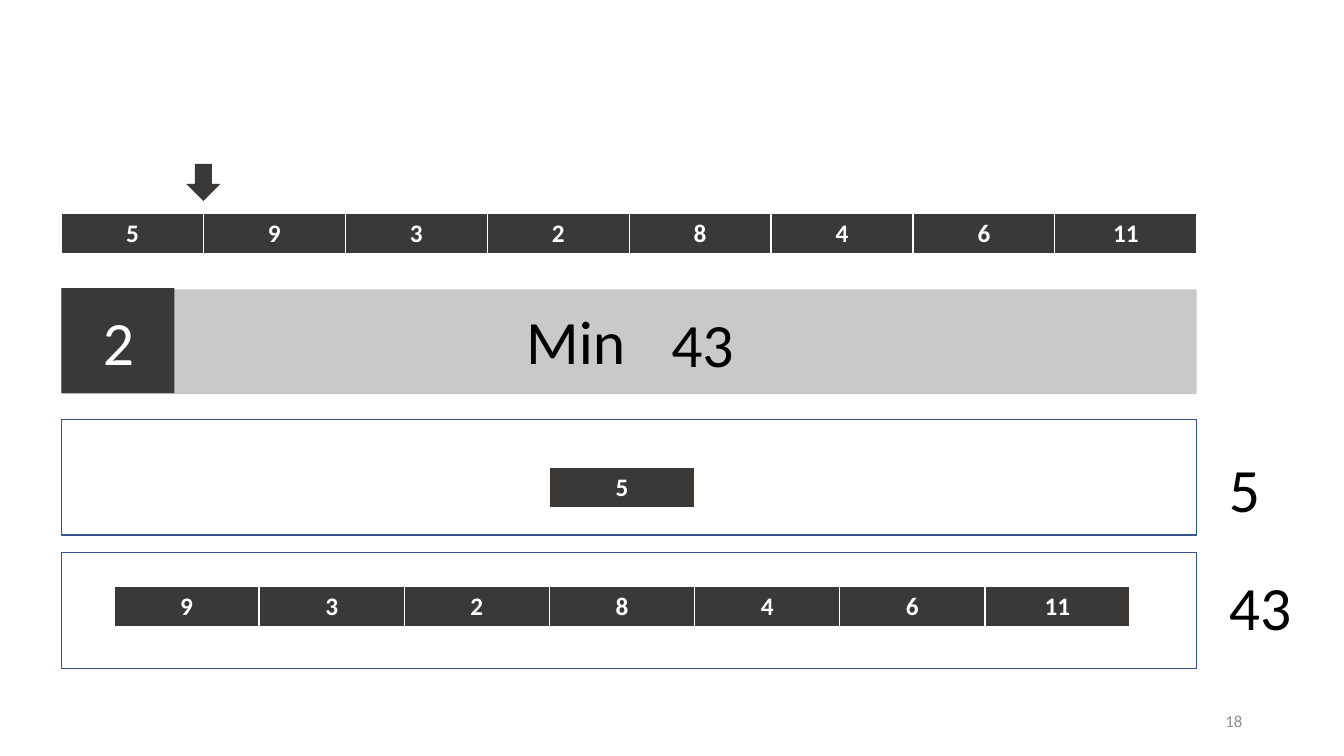
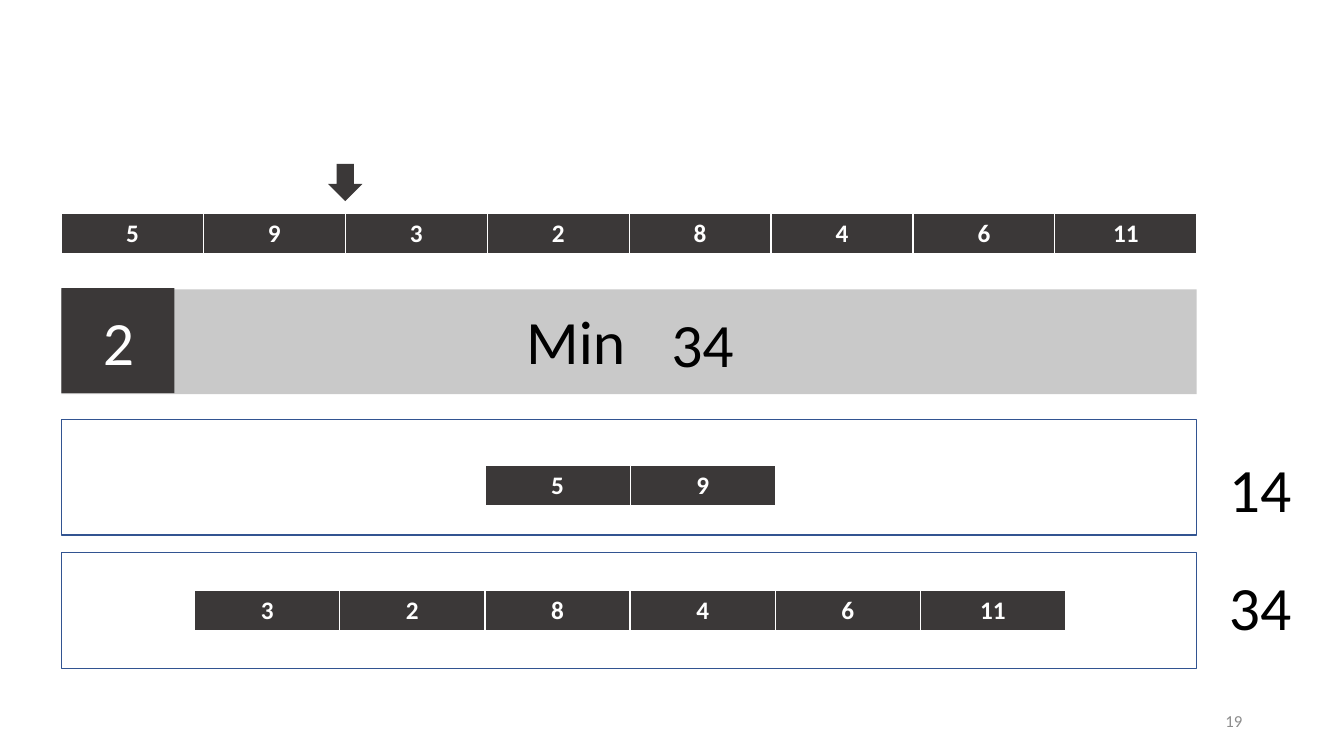
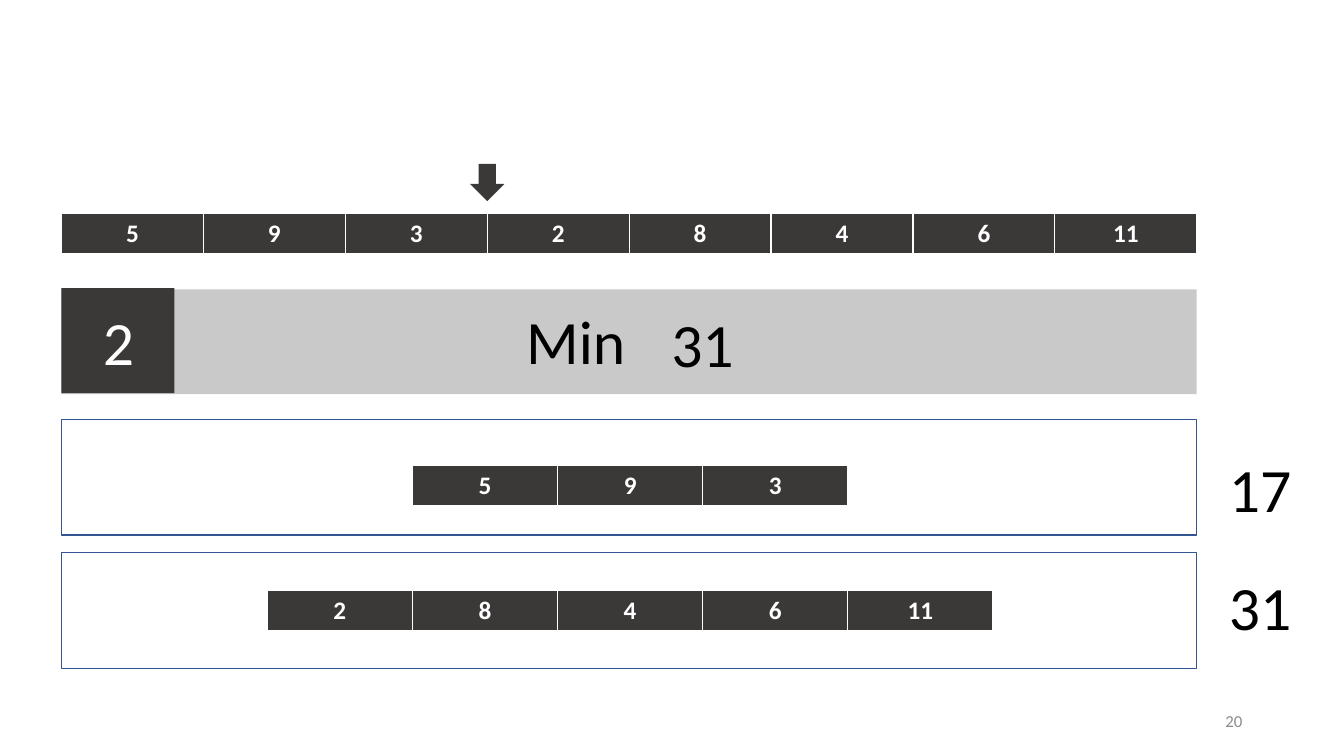
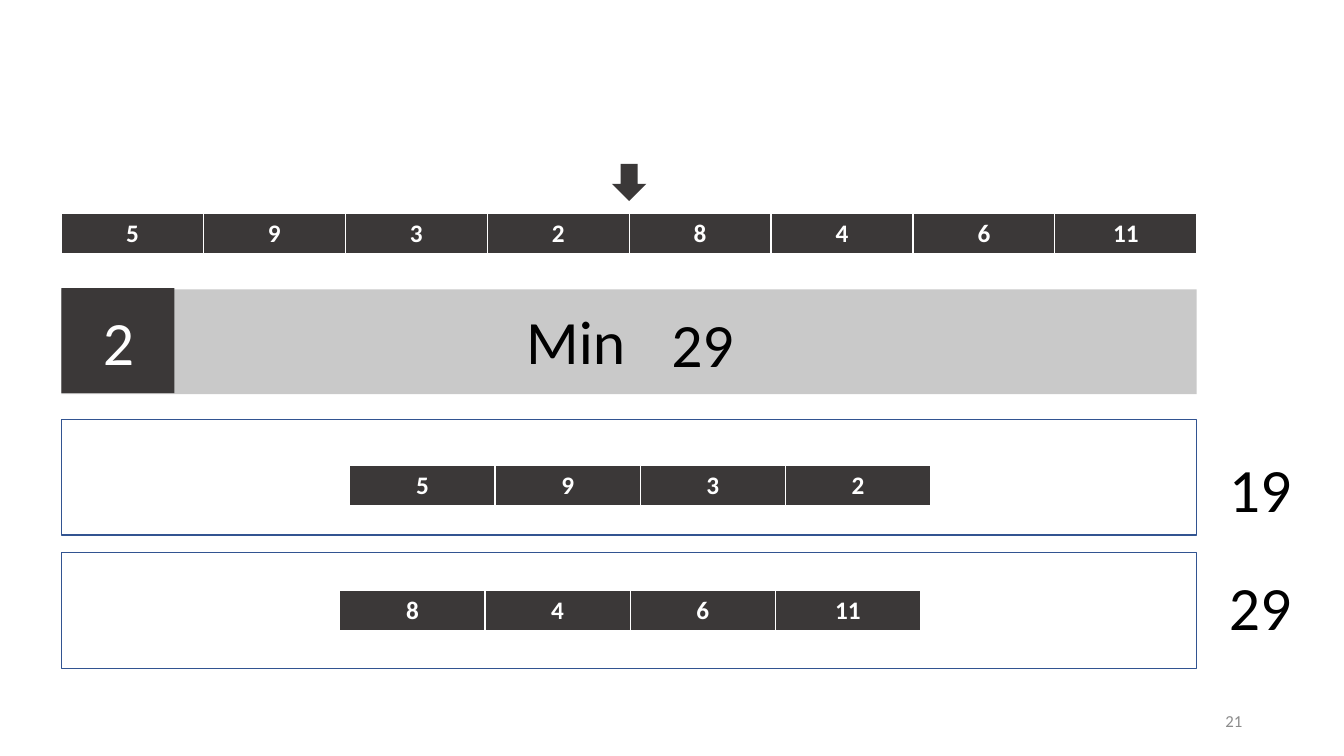
"""Build four slides that try each split of a list and keep the smallest larger sum."""
import pptx
import pptx.dml.color
import pptx.enum.shapes
import pptx.enum.text
import pptx.oxml
import pptx.oxml.ns
import pptx.util

Inches = pptx.util.Inches
Pt = pptx.util.Pt
RGB = pptx.dml.color.RGBColor
SHAPE = pptx.enum.shapes.MSO_SHAPE
ALIGN = pptx.enum.text.PP_ALIGN
ANCHOR = pptx.enum.text.MSO_ANCHOR
FIT = pptx.enum.text.MSO_AUTO_SIZE

DARK = RGB(0x3B, 0x38, 0x38)
GREY = RGB(0xC9, 0xC9, 0xC9)
BLUE = RGB(0x32, 0x54, 0x91)
WHITE = RGB(0xFF, 0xFF, 0xFF)
BLACK = RGB(0, 0, 0)
PALE = RGB(0x8C, 0x8C, 0x8C)

ITEMS = [5, 9, 3, 2, 8, 4, 6, 11]
PARTS = 2
FIRST = 18
SPLITS = [
    {"cut": 1, "head": (5.45, 4.64), "tail": (1.13, 5.82)},
    {"cut": 2, "head": (4.81, 4.62), "tail": (1.93, 5.86)},
    {"cut": 3, "head": (4.09, 4.62), "tail": (2.65, 5.86)},
    {"cut": 4, "head": (3.47, 4.62), "tail": (3.37, 5.86)},
]

LEFT, WIDTH = 0.61, 11.26
STEP = WIDTH / len(ITEMS)
CELL, ROW = 1.44, 0.41
BOXES = [4.16, 5.48]
SUMS = [4.42, 5.6]
EDGES = {"lnL": 1, "lnR": 1, "lnT": 1, "lnB": 3}

BIG = {"size": Pt(44), "name": "Calibri"}
SMALL = {"size": Pt(12), "name": "Calibri"}
BOLD = {"size": Pt(18), "name": "Calibri", "bold": True}


def style(para, form, tint, align):
    para.alignment = align
    for key, value in form.items():
        setattr(para.font, key, value)
    para.font.color.rgb = tint


def write(slide, text, area, form=BIG, tint=BLACK, align=ALIGN.LEFT):
    frame = slide.shapes.add_textbox(*map(Inches, area)).text_frame
    frame.word_wrap = True
    frame.text = str(text)
    style(frame.paragraphs[0], form, tint, align)
    return frame


def draw(slide, kind, area, fill=None, line=None):
    shape = slide.shapes.add_shape(kind, *map(Inches, area))
    shape.shadow.inherit = False
    if fill is None:
        shape.fill.background()
    else:
        shape.fill.solid()
        shape.fill.fore_color.rgb = fill
    if line is None:
        shape.line.fill.background()
    else:
        shape.line.color.rgb = line
        shape.line.width = Pt(1)
    return shape


def edge(cell):
    props = cell._tc.get_or_add_tcPr()
    for tag, width in EDGES.items():
        props.append(pptx.oxml.parse_xml(
            f'<a:{tag} {pptx.oxml.ns.nsdecls("a")} w="{Pt(width)}">'
            f'<a:solidFill><a:srgbClr val="{WHITE}"/></a:solidFill></a:{tag}>'))


def strip(slide, items, left, top, width):
    area = (left, top, width * len(items), ROW)
    table = slide.shapes.add_table(1, len(items), *map(Inches, area)).table
    table.horz_banding = False
    for col, item in enumerate(items):
        table.columns[col].width = Inches(width)
        cell = table.cell(0, col)
        edge(cell)
        cell.fill.solid()
        cell.fill.fore_color.rgb = DARK
        cell.text = str(item)
        style(cell.text_frame.paragraphs[0], BOLD, WHITE, ALIGN.CENTER)


def build(slide, split, number):
    cut = split["cut"]
    groups = {"head": ITEMS[:cut], "tail": ITEMS[cut:]}
    best = max(map(sum, groups.values()))

    strip(slide, ITEMS, LEFT, 2.12, STEP)
    middle = LEFT + cut * STEP
    arrow = draw(slide, SHAPE.RIGHT_ARROW, (middle - 0.185, 1.64, 0.37, 0.34), DARK)
    arrow.rotation = 90

    draw(slide, SHAPE.RECTANGLE, (LEFT, 2.87, WIDTH, 1.04), GREY)
    draw(slide, SHAPE.RECTANGLE, (LEFT, 2.86, 1.12, 1.04), DARK)
    labels = [
        write(slide, PARTS, (0.71, 2.97, 0.93, 0.84), tint=WHITE, align=ALIGN.CENTER),
        write(slide, "Min", (5.12, 2.96, 1.23, 0.84)),
        write(slide, best, (6.56, 2.99, 0.93, 0.84)),
    ]
    for (name, group), box, top in zip(groups.items(), BOXES, SUMS):
        draw(slide, SHAPE.RECTANGLE, (LEFT, box, WIDTH, 1.15), line=BLUE)
        strip(slide, group, *split[name], CELL)
        labels.append(write(slide, sum(group), (12.09, top, 0.93, 0.84)))
    for label in labels:
        label.auto_size = FIT.SHAPE_TO_FIT_TEXT

    foot = write(slide, number, (9.42, 6.95, 3, 0.4), SMALL, PALE, ALIGN.RIGHT)
    foot.vertical_anchor = ANCHOR.MIDDLE


def main():
    deck = pptx.Presentation()
    deck.slide_width, deck.slide_height = Inches(13.33), Inches(7.5)
    for number, split in enumerate(SPLITS, FIRST):
        build(deck.slides.add_slide(deck.slide_layouts[6]), split, number)
    deck.save("out.pptx")


if __name__ == "__main__":
    main()
